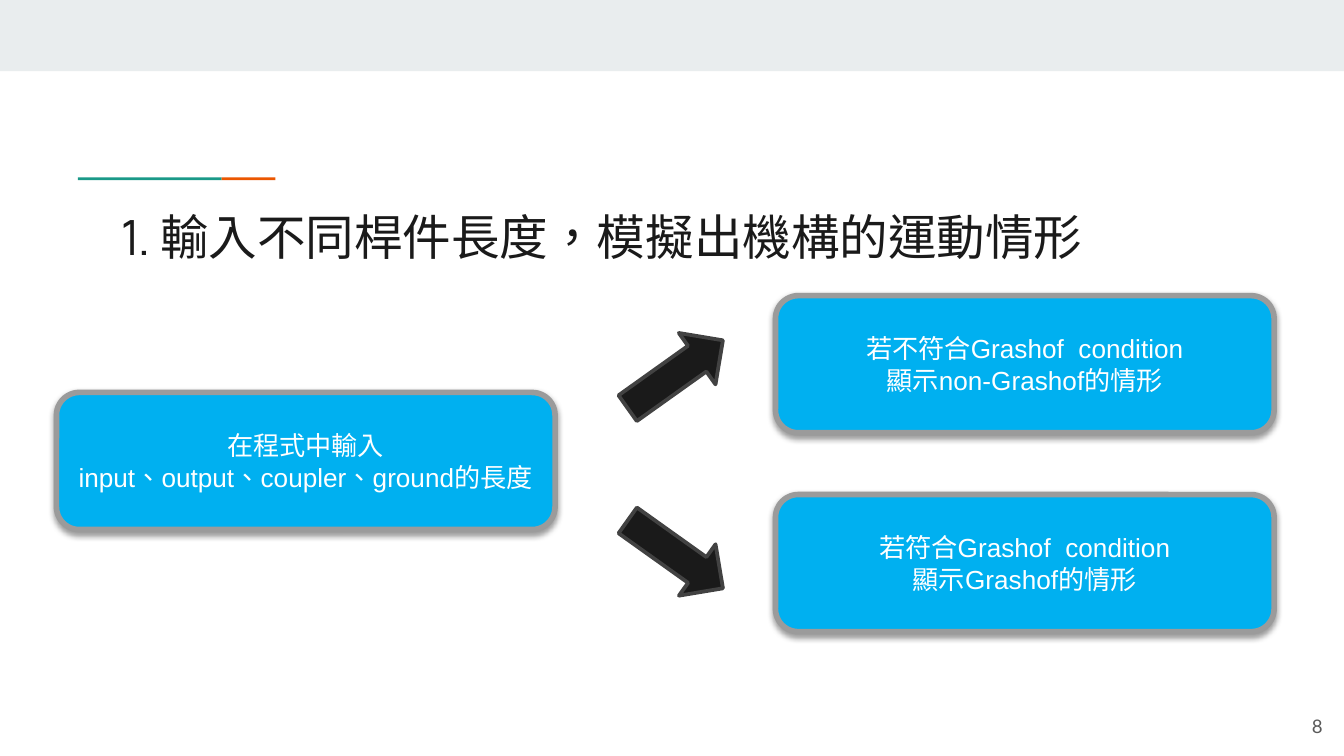
import dataclasses

import lxml.etree
import pptx
import pptx.dml.color
import pptx.enum.lang
import pptx.enum.shapes
import pptx.enum.text
import pptx.oxml.ns
import pptx.util

Inches = pptx.util.Inches
Pt = pptx.util.Pt
Shape = pptx.enum.shapes.MSO_SHAPE
Align = pptx.enum.text.PP_ALIGN
Anchor = pptx.enum.text.MSO_ANCHOR


@dataclasses.dataclass(frozen=True)
class Theme:
    band: str = "E9EDEE"
    green: str = "1A9988"
    orange: str = "EB5600"
    ink: str = "1A1A1A"
    muted: str = "595959"
    white: str = "FFFFFF"
    step_fill: str = "00B0F0"
    step_line: str = "9B9B9B"
    arrow_line: str = "424242"
    title_font: str = "Manrope"
    body_font: str = "Arial"
    number_font: str = "Lato"
    title_size: int = 26
    body_size: int = 14
    number_size: int = 10


def rgb(value):
    return pptx.dml.color.RGBColor.from_string(value)


def write_text(frame, text, *, font, size, color, align=Align.LEFT,
               anchor=Anchor.TOP, inset=(0.1, 0.1)):
    """Fill a frame, one paragraph per line; inset is (horizontal, vertical) inches."""
    frame.word_wrap = True
    frame.auto_size = pptx.enum.text.MSO_AUTO_SIZE.NONE
    frame.vertical_anchor = anchor
    frame.margin_left = frame.margin_right = Inches(inset[0])
    frame.margin_top = frame.margin_bottom = Inches(inset[1])
    for index, line in enumerate(text.split("\n")):
        para = frame.paragraphs[0] if index == 0 else frame.add_paragraph()
        para.alignment = align
        span = para.add_run()
        span.text = line
        span.font.name = font
        span.font.size = Pt(size)
        span.font.color.rgb = rgb(color)
        span.font.language_id = pptx.enum.lang.MSO_LANGUAGE_ID.TRADITIONAL_CHINESE


def add_drop_shadow(shape):
    """Add a soft black shadow that falls straight down."""
    qn = pptx.oxml.ns.qn
    effects = shape._element.spPr.find(qn("a:effectLst"))
    shadow = lxml.etree.SubElement(
        effects, qn("a:outerShdw"), blurRad=str(Pt(3.1)), dist=str(Pt(1.6)),
        dir="5400000", algn="ctr", rotWithShape="0")
    color = lxml.etree.SubElement(shadow, qn("a:srgbClr"), val="000000")
    lxml.etree.SubElement(color, qn("a:alpha"), val="38000")


class SlideBuilder:
    def __init__(self, slide, theme):
        self.slide = slide
        self.theme = theme

    def shape(self, kind, left, top, width, height, fill, line=None, line_width=0):
        shape = self.slide.shapes.add_shape(
            kind, Inches(left), Inches(top), Inches(width), Inches(height))
        shape.shadow.inherit = False
        shape.fill.solid()
        shape.fill.fore_color.rgb = rgb(fill)
        if line:
            shape.line.color.rgb = rgb(line)
            shape.line.width = Pt(line_width)
        else:
            shape.line.fill.background()
        return shape

    def bar(self, left, top, width, height, fill):
        self.shape(Shape.RECTANGLE, left, top, width, height, fill)

    def title(self, text, left, top, width, height):
        title = self.slide.shapes.title
        title.left, title.top = Inches(left), Inches(top)
        title.width, title.height = Inches(width), Inches(height)
        write_text(title.text_frame, text, font=self.theme.title_font,
                   size=self.theme.title_size, color=self.theme.ink)

    def page_number(self, text, left, top, width, height):
        box = self.slide.shapes.add_textbox(
            Inches(left), Inches(top), Inches(width), Inches(height))
        write_text(box.text_frame, text, font=self.theme.number_font,
                   size=self.theme.number_size, color=self.theme.muted,
                   align=Align.RIGHT, anchor=Anchor.MIDDLE)

    def step(self, text, left, top):
        box = self.shape(Shape.ROUNDED_RECTANGLE, left, top, 3.71, 1.02,
                         self.theme.step_fill, self.theme.step_line, 3)
        add_drop_shadow(box)
        write_text(box.text_frame, text, font=self.theme.body_font,
                   size=self.theme.body_size, color=self.theme.white,
                   align=Align.CENTER, anchor=Anchor.MIDDLE, inset=(0.1, 0.05))

    def arrow(self, left, top, rotation):
        arrow = self.shape(Shape.RIGHT_ARROW, left, top, 0.87, 0.47,
                           self.theme.ink, self.theme.arrow_line, 2)
        arrow.rotation = rotation


def main():
    theme = Theme()
    deck = pptx.Presentation()
    deck.slide_width = Inches(10)
    deck.slide_height = deck.slide_width * 9 // 16
    page = SlideBuilder(deck.slides.add_slide(deck.slide_layouts[5]), theme)

    page.bar(0, 0, 10, 0.53, theme.band)
    page.bar(0.58, 1.32, 1.07, 0.02, theme.green)
    page.bar(1.65, 1.32, 0.4, 0.02, theme.orange)
    page.title("1. 輸入不同桿件長度，模擬出機構的運動情形", 0.8, 1.44, 8.41, 0.59)
    page.page_number("8", 9.34, 5.19, 0.6, 0.43)

    page.step("在程式中輸入\ninput、output、coupler、ground的長度", 0.42, 2.92)
    outcomes = [
        ("若不符合Grashof  condition\n顯示non-Grashof的情形", 2.2, 2.55, -35.5),
        ("若符合Grashof  condition\n顯示Grashof的情形", 3.68, 3.89, 35.5),
    ]
    for text, box_top, arrow_top, rotation in outcomes:
        page.arrow(4.59, arrow_top, rotation)
        page.step(text, 5.77, box_top)

    deck.save("out.pptx")


if __name__ == "__main__":
    main()
